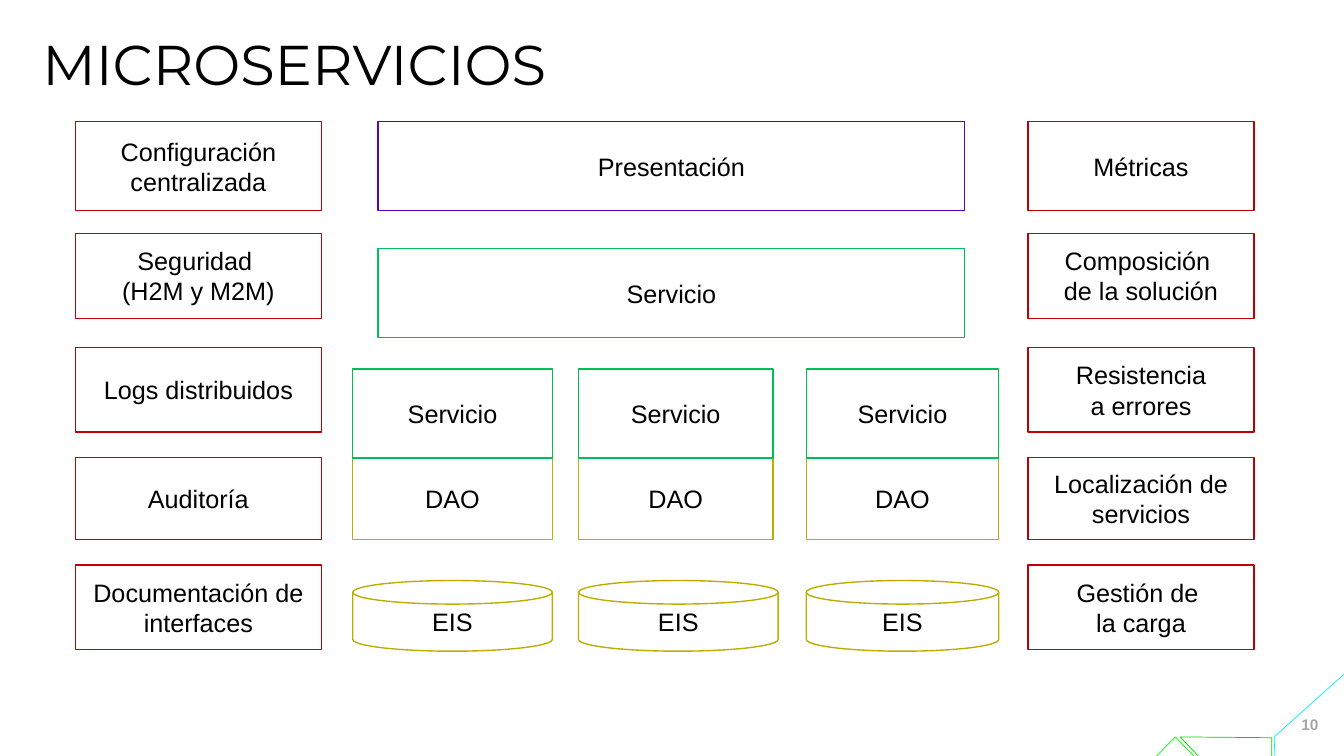
from lxml import etree
from pptx import Presentation
from pptx import util as u
from pptx.dml.color import RGBColor
from pptx.enum import shapes, text

COLORS = {
    "black": "000000", "grey": "A6A6A6", "red": "C00000", "dark_red": "BD0000",
    "purple": "5D00BD", "green": "00BD5C", "ochre": "BDAD00",
    "cyan": "00F3FF", "lime": "00FF00", "leaf": "00D700",
}
RECT = shapes.MSO_SHAPE.RECTANGLE
DISK = shapes.MSO_SHAPE.FLOWCHART_MAGNETIC_DISK


def write(holder, words, size=18, font="Arial", color="black", bold=False,
          align=text.PP_ALIGN.CENTER, anchor=text.MSO_ANCHOR.MIDDLE,
          insets=None, spacing=None):
    """Fill a shape with text; each line of words becomes a paragraph."""
    frame = holder.text_frame
    frame.text = words
    frame.word_wrap = True
    frame.auto_size = text.MSO_AUTO_SIZE.NONE
    frame.vertical_anchor = anchor
    if insets:
        (frame.margin_left, frame.margin_top,
         frame.margin_right, frame.margin_bottom) = map(u.Cm, insets)
    for paragraph in frame.paragraphs:
        paragraph.alignment = align
        if spacing:
            paragraph.line_spacing = spacing
        for run in paragraph.runs:
            run.font.size = u.Pt(size)
            run.font.name = font
            run.font.bold = bold
            run.font.color.rgb = RGBColor.from_string(COLORS[color])


def outline(shape, color, width=1):
    shape.shadow.inherit = False
    shape.fill.background()
    shape.line.color.rgb = RGBColor.from_string(COLORS[color])
    shape.line.width = u.Pt(width)


prs = Presentation()
prs.slide_width, prs.slide_height = u.Cm(33.87), u.Cm(19.05)
slide = prs.slides.add_slide(prs.slide_layouts[5])

# Corner decoration: open outlines that end at the slide edge
corner_lines = [
    ("cyan", [(32.13, 19.05), (32.11, 18.57), (33.87, 16.99)]),
    ("lime", [(29.15, 19.05), (29.62, 18.57), (30.09, 19.05)]),
    ("leaf", [(30.2, 19.05), (29.74, 18.57), (32.05, 18.59), (32.05, 19.05)]),
]
for color, points in corner_lines:
    start, *rest = [(u.Cm(x), u.Cm(y)) for x, y in points]
    builder = slide.shapes.build_freeform(*start)
    builder.add_line_segments(rest, close=False)
    outline(builder.convert_to_shape(), color, 0.5)

title = slide.shapes.title
title.left, title.top, title.width, title.height = map(u.Cm, (1.07, 1.07, 31.75, 2.74))
write(title, "MICROSERVICIOS", size=40, font="Montserrat", align=text.PP_ALIGN.LEFT,
      anchor=text.MSO_ANCHOR.TOP, insets=(0, 0.13, 0, 0), spacing=0.7)

page_number = slide.shapes.add_textbox(u.Cm(32.39), u.Cm(17.91), u.Cm(0.84), u.Cm(0.58))
write(page_number, "10", size=11, color="grey", bold=True, align=text.PP_ALIGN.RIGHT,
      anchor=text.MSO_ANCHOR.BOTTOM, insets=(0, 0, 0, 0))

# Each block: shape kind, words, line colour, left, top, width, height
blocks = [
    (RECT, "Presentación", "purple", 9.53, 3.07, 14.78, 2.24),
    (RECT, "Servicio", "green", 9.53, 6.27, 14.78, 2.24),
]

# Cross-cutting concerns on both sides share the same rows
concern_rows = [
    (3.07, 2.24, "Configuración\ncentralizada", "red", "Métricas", "dark_red"),
    (5.88, 2.14, "Seguridad \n(H2M y M2M)", "red", "Composición \nde la solución", "red"),
    (8.76, 2.13, "Logs distribuidos", "red", "Resistencia\na errores", "red"),
    (11.53, 2.06, "Auditoría", "dark_red", "Localización de servicios", "red"),
    (14.24, 2.13, "Documentación de interfaces", "red", "Gestión de \nla carga", "red"),
]
for top, height, left_words, left_color, right_words, right_color in concern_rows:
    blocks.append((RECT, left_words, left_color, 1.9, top, 6.2, height))
    blocks.append((RECT, right_words, right_color, 25.91, top, 5.69, height))

# Service stacks: left, box width, disk width
for left, box_width, disk_width in [(8.89, 5.03, 5.03), (14.58, 4.9, 5.03), (20.32, 4.85, 4.85)]:
    blocks += [
        (DISK, "EIS", "ochre", left, 14.63, disk_width, 1.78),
        (RECT, "DAO", "ochre", left, 11.53, box_width, 2.06),
        (RECT, "Servicio", "green", left, 9.3, box_width, 2.24),
    ]

for kind, words, color, *place in blocks:
    block = slide.shapes.add_shape(kind, *map(u.Cm, place))
    outline(block, color)
    write(block, words)

prs.save("out.pptx")
